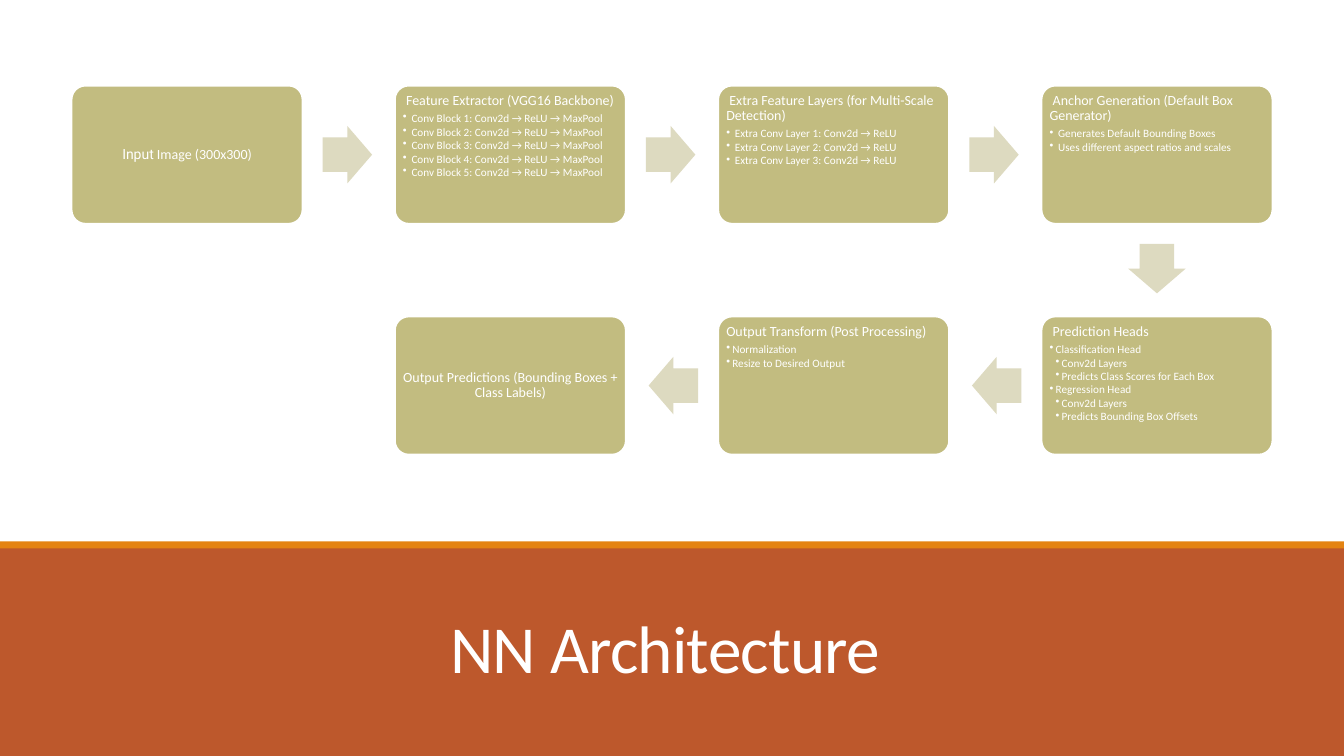
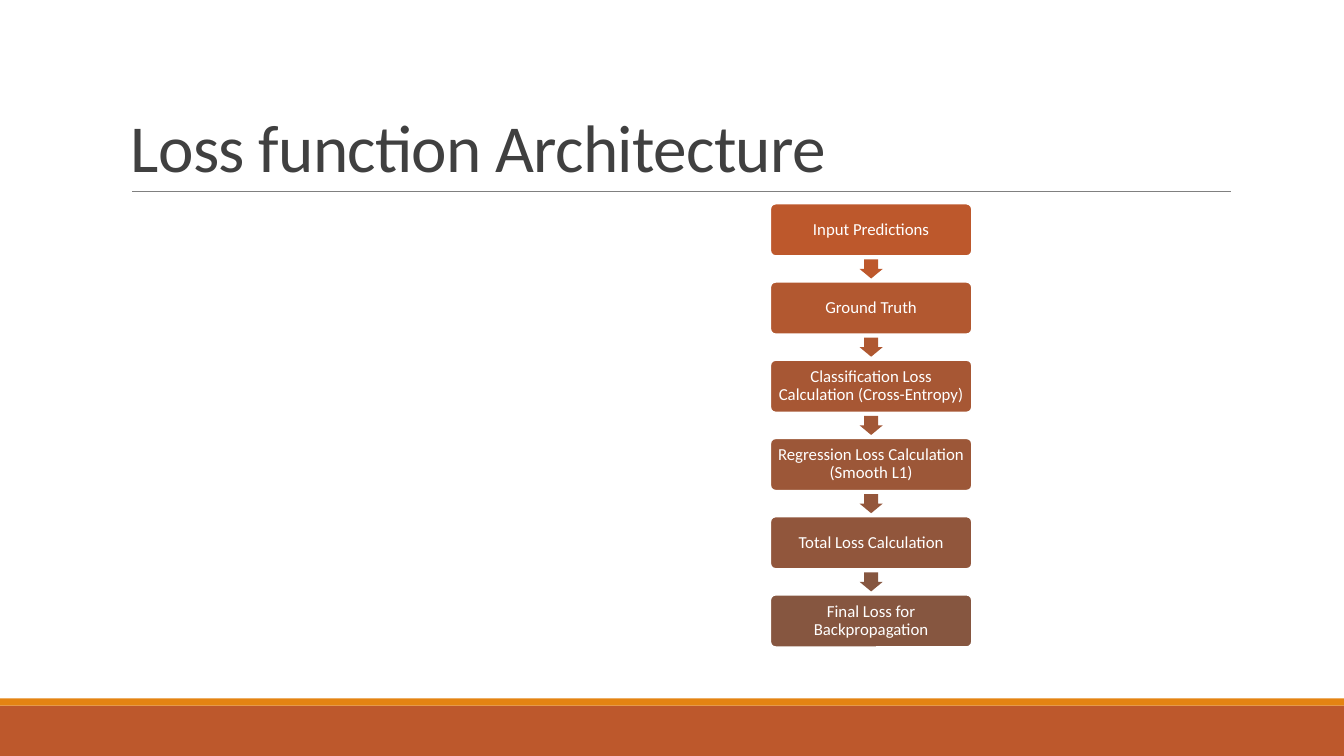
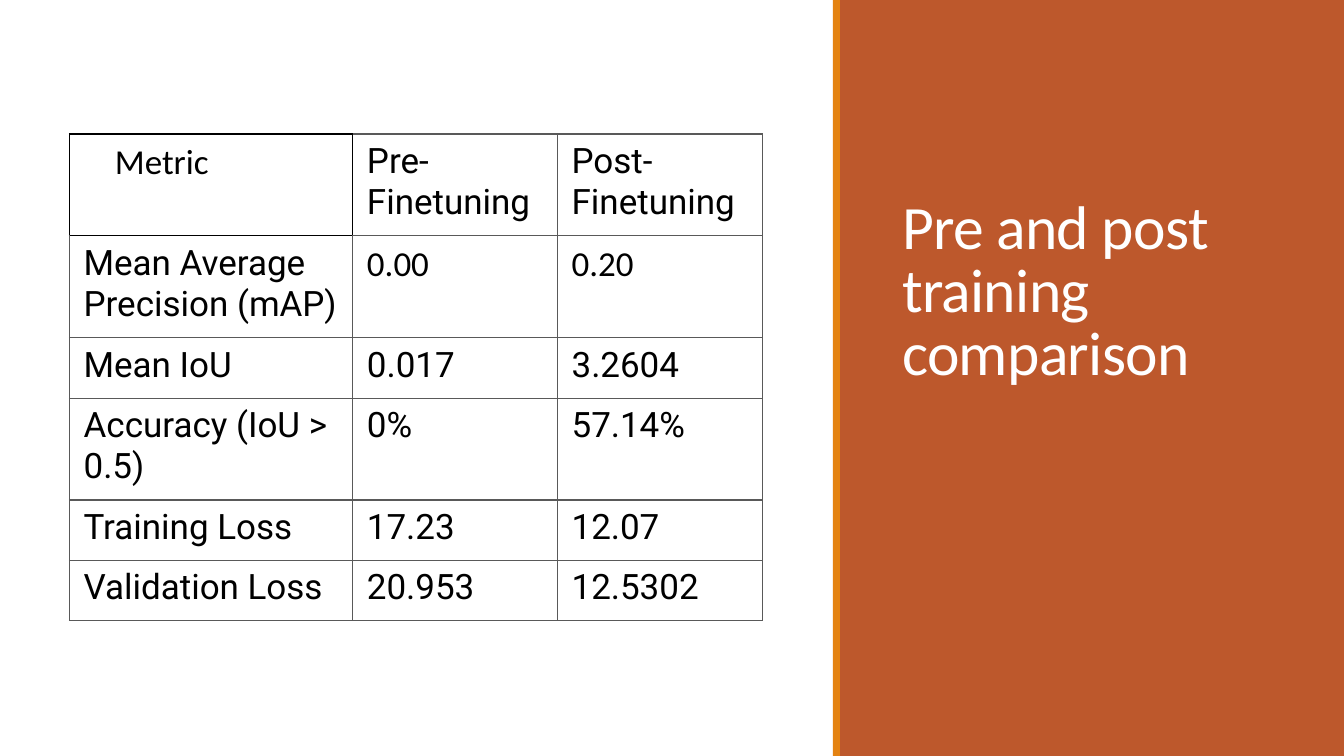
from lxml.etree import SubElement
from pptx import Presentation
from pptx.dml.color import RGBColor
from pptx.enum.shapes import MSO_CONNECTOR, MSO_SHAPE
from pptx.enum.text import MSO_ANCHOR as Anchor, PP_ALIGN as Align
from pptx.oxml.ns import qn
from pptx.util import Inches, Pt

WHITE = RGBColor(0xFF, 0xFF, 0xFF)
BLACK = RGBColor(0, 0, 0)
RUST = RGBColor(0xBD, 0x58, 0x2C)
BROWN = RGBColor(0x86, 0x56, 0x40)
ORANGE = RGBColor(0xE4, 0x83, 0x12)
OLIVE = RGBColor(0xC2, 0xBC, 0x80)
PALE_OLIVE = RGBColor(0xDD, 0xDA, 0xC0)
CHARCOAL = RGBColor(0x40, 0x40, 0x40)
RULE_GRAY = RGBColor(0x80, 0x80, 0x80)
GRID_GRAY = RGBColor(0x59, 0x59, 0x59)

BODY_FONT, TABLE_FONT = "Calibri", "Roboto"
SLIDE_WIDTH, SLIDE_HEIGHT = 13.33, 7.5
STRIPE = 0.07
RIGHT, DOWN, LEFT = (1, 0), (0, 1), (-1, 0)
ROTATION = {RIGHT: 0, DOWN: 90, LEFT: 180}

# Column, row, heading and bullets (level, text) of each stage, in flow order
STAGES = [
    (0, 0, "Input", []),
    (1, 0, " Feature Extractor (VGG16 Backbone)",
     [(1, f" Conv Block {n}: Conv2d → ReLU → MaxPool") for n in range(1, 6)]),
    (2, 0, " Extra Feature Layers (for Multi-Scale Detection)",
     [(1, f" Extra Conv Layer {n}: Conv2d → ReLU") for n in range(1, 4)]),
    (3, 0, " Anchor Generation (Default Box Generator)",
     [(1, " Generates Default Bounding Boxes"),
      (1, " Uses different aspect ratios and scales")]),
    (3, 1, " Prediction Heads",
     [(1, "Classification Head"), (2, "Conv2d Layers"),
      (2, "Predicts Class Scores for Each Box"),
      (1, "Regression Head"), (2, "Conv2d Layers"),
      (2, "Predicts Bounding Box Offsets")]),
    (2, 1, "Output Transform (Post Processing)",
     [(1, "Normalization"), (1, "Resize to Desired Output")]),
    (1, 1, "Output Predictions (Bounding Boxes + Class Labels)", []),
]
LOSS_STEPS = [
    "Input Predictions",
    "Ground Truth",
    "Classification Loss Calculation (Cross-Entropy)",
    "Regression Loss Calculation (Smooth L1)",
    "Total Loss Calculation",
    "Final Loss for Backpropagation",
]
METRICS = [
    ("Metric", "Pre-Finetuning", "Post-Finetuning"),
    ("Mean Average Precision (mAP)", "0.00", "0.20"),
    ("Mean IoU", "0.017", "3.2604"),
    ("Accuracy (IoU > 0.5)", "0%", "57.14%"),
    ("Training Loss", "17.23", "12.07"),
    ("Validation Loss", "20.953", "12.5302"),
]
CALIBRI_CELLS = {"Metric", "0.00", "0.20"}


def format_run(run, size, color=WHITE, font=BODY_FONT):
    run.font.size = Pt(size)
    run.font.name = font
    run.font.color.rgb = color


def write(paragraph, text, size, color=WHITE, spacing=0.9, align=Align.LEFT, after=0):
    paragraph.text = text
    paragraph.alignment = align
    paragraph.line_spacing = spacing
    paragraph.space_after = Pt(after)
    format_run(paragraph.runs[0], size, color)


def add_bullet(paragraph, level):
    properties = paragraph._p.get_or_add_pPr()
    properties.set("marL", str(Inches(0.06 * level)))
    properties.set("indent", str(-Inches(0.06)))
    SubElement(properties, qn("a:buChar")).set("char", "•")


def add_block(slide, kind, box, fill):
    shape = slide.shapes.add_shape(kind, *map(Inches, box))
    shape.shadow.inherit = False
    shape.fill.solid()
    shape.fill.fore_color.rgb = fill
    shape.line.fill.background()
    return shape


def add_band(slide, box, stripe_box):
    """Rust band with an orange stripe along its edge."""
    add_block(slide, MSO_SHAPE.RECTANGLE, box, RUST)
    add_block(slide, MSO_SHAPE.RECTANGLE, stripe_box, ORANGE)


def add_bottom_band(slide, top, stripe_top):
    add_band(slide, (0, top, SLIDE_WIDTH, SLIDE_HEIGHT - top),
             (0, stripe_top, SLIDE_WIDTH, STRIPE))


def add_title(slide, box, text, size=48, color=WHITE, align=Align.LEFT):
    frame = slide.shapes.add_textbox(*map(Inches, box)).text_frame
    frame.word_wrap = True
    frame.vertical_anchor = Anchor.BOTTOM
    paragraph = frame.paragraphs[0]
    write(paragraph, text, size, color, 0.85, align)
    paragraph.runs[0]._r.get_or_add_rPr().set("spc", "-50")


def add_node(slide, box, fill, text, size, inset, bullets=()):
    """Rounded box: centred text alone, or a heading above bullets."""
    shape = add_block(slide, MSO_SHAPE.ROUNDED_RECTANGLE, box, fill)
    shape.adjustments[0] = 0.1
    shape.line.color.rgb = WHITE
    shape.line.width = Pt(1.25)
    frame = shape.text_frame
    frame.word_wrap = True
    frame.margin_left = frame.margin_right = Inches(inset)
    frame.margin_top = frame.margin_bottom = Inches(inset)
    frame.vertical_anchor = Anchor.TOP if bullets else Anchor.MIDDLE
    heading = frame.paragraphs[0]
    if bullets:
        write(heading, text, size, after=3)
    else:
        write(heading, text, size, align=Align.CENTER)
    for level, line in bullets:
        paragraph = frame.add_paragraph()
        write(paragraph, line, size - 2, after=1)
        add_bullet(paragraph, level)
    return shape


def add_arrow(slide, center, length, breadth, fill, direction):
    x, y = center
    box = (x - length / 2, y - breadth / 2, length, breadth)
    arrow = add_block(slide, MSO_SHAPE.RIGHT_ARROW, box, fill)
    arrow.adjustments[0], arrow.adjustments[1] = 0.6, 0.5
    arrow.rotation = ROTATION[direction]


def add_stage_flow(slide, box):
    """Four columns by two rows, running right, down, then left."""
    left, top, width, height = box
    node_width, node_height = 2.29, 1.37
    arrow_length, arrow_breadth, gap = 0.49, 0.57, 0.2
    column_pitch = (width - node_width) / 3
    row_pitch = height - node_height
    for index, (column, row, heading, bullets) in enumerate(STAGES):
        x, y = left + column * column_pitch, top + row * row_pitch
        node = add_node(slide, (x, y, node_width, node_height), OLIVE,
                        heading, 10, 0.04, bullets)
        if index == 0:
            paragraph = node.text_frame.paragraphs[0]
            paragraph.runs[0].font.name = TABLE_FONT
            run = paragraph.add_run()
            run.text = " Image (300x300)"
            format_run(run, 10)
        if index + 1 < len(STAGES):
            next_column, next_row = STAGES[index + 1][:2]
            dx, dy = direction = (next_column - column, next_row - row)
            reach = gap + arrow_length / 2
            center = (x + node_width / 2 + dx * (node_width / 2 + reach),
                      y + node_height / 2 + dy * (node_height / 2 + reach))
            add_arrow(slide, center, arrow_length, arrow_breadth, PALE_OLIVE, direction)


def blend(share):
    """Colour at this share of the way from rust to brown."""
    return RGBColor(*(round(a + (b - a) * share) for a, b in zip(RUST, BROWN)))


def add_loss_flow(slide, box):
    left, top, width, height = box
    node_height = 0.52
    last = len(LOSS_STEPS) - 1
    pitch = (height - node_height) / last
    for index, step in enumerate(LOSS_STEPS):
        y = top + index * pitch
        add_node(slide, (left, y, width, node_height), blend(index / last), step, 12, 0.05)
        if index < last:
            center = (left + width / 2, y + (node_height + pitch) / 2)
            add_arrow(slide, center, 0.19, 0.23, blend(index / (last - 1)), DOWN)


def add_rule(slide, left, right, y):
    rule = slide.shapes.add_connector(
        MSO_CONNECTOR.STRAIGHT, Inches(left), Inches(y), Inches(right), Inches(y))
    rule.line.color.rgb = RULE_GRAY
    rule.line.width = Pt(0.5)
    SubElement(rule._element.spPr, qn("a:effectLst"))


def set_borders(cell, colors):
    """Draw 1 pt borders; colors maps L, R, T and B to a colour."""
    properties = cell._tc.get_or_add_tcPr()
    for side in "LRTB":
        line = SubElement(properties, qn(f"a:ln{side}"))
        line.set("w", str(Pt(1)))
        fill = SubElement(line, qn("a:solidFill"))
        SubElement(fill, qn("a:srgbClr")).set("val", str(colors[side]))


def add_metric_table(slide, box):
    table = slide.shapes.add_table(len(METRICS), 3, *map(Inches, box)).table
    table.first_row = table.horz_banding = False
    for column, width in zip(table.columns, (2.81, 2.03, 2.03)):
        column.width = Inches(width)
    for row, height in zip(table.rows, (1.01, 1.01, 0.6, 1.01, 0.6, 0.6)):
        row.height = Inches(height)
    black_sides = {(0, 0): "LRTB", (0, 1): "L", (1, 0): "T"}
    for row, texts in enumerate(METRICS):
        for column, text in enumerate(texts):
            cell = table.cell(row, column)
            black = black_sides.get((row, column), "")
            set_borders(cell, {side: BLACK if side in black else GRID_GRAY
                               for side in "LRTB"})
            cell.fill.solid()
            cell.fill.fore_color.rgb = WHITE
            cell.margin_left = Inches(0.45 if text == "Metric" else 0.14)
            cell.margin_right = Inches(0.14)
            cell.margin_top = cell.margin_bottom = Inches(0.07)
            cell.text_frame.text = text
            font = BODY_FONT if text in CALIBRI_CELLS else TABLE_FONT
            format_run(cell.text_frame.paragraphs[0].runs[0], 25, BLACK, font)


def build_network_slide(slide):
    add_bottom_band(slide, 5.42, 5.37)
    add_title(slide, (1.17, 5.74, 11, 1.13), "NN Architecture ", align=Align.CENTER)
    add_stage_flow(slide, (0.71, 0.85, 11.91, 3.66))


def build_loss_slide(slide):
    add_bottom_band(slide, 7, 6.93)
    add_rule(slide, 1.31, 12.21, 1.9)
    add_title(slide, (1.2, 0.31, 11, 1.59), "Loss function Architecture", color=CHARCOAL)
    add_loss_flow(slide, (7.64, 2.02, 2, 4.4))


def build_comparison_slide(slide):
    add_band(slide, (8.33, 0, 5, SLIDE_HEIGHT), (8.26, 0, STRIPE, SLIDE_HEIGHT))
    add_title(slide, (8.85, 0.7, 4, 3.2), "Pre and post training comparison", 44)
    add_metric_table(slide, (0.69, 1.33, 6.87, 4.84))


def main():
    presentation = Presentation()
    presentation.slide_width = Inches(SLIDE_WIDTH)
    presentation.slide_height = Inches(SLIDE_HEIGHT)
    blank = presentation.slide_layouts[6]
    for build in (build_network_slide, build_loss_slide, build_comparison_slide):
        build(presentation.slides.add_slide(blank))
    presentation.save("out.pptx")


if __name__ == "__main__":
    main()
